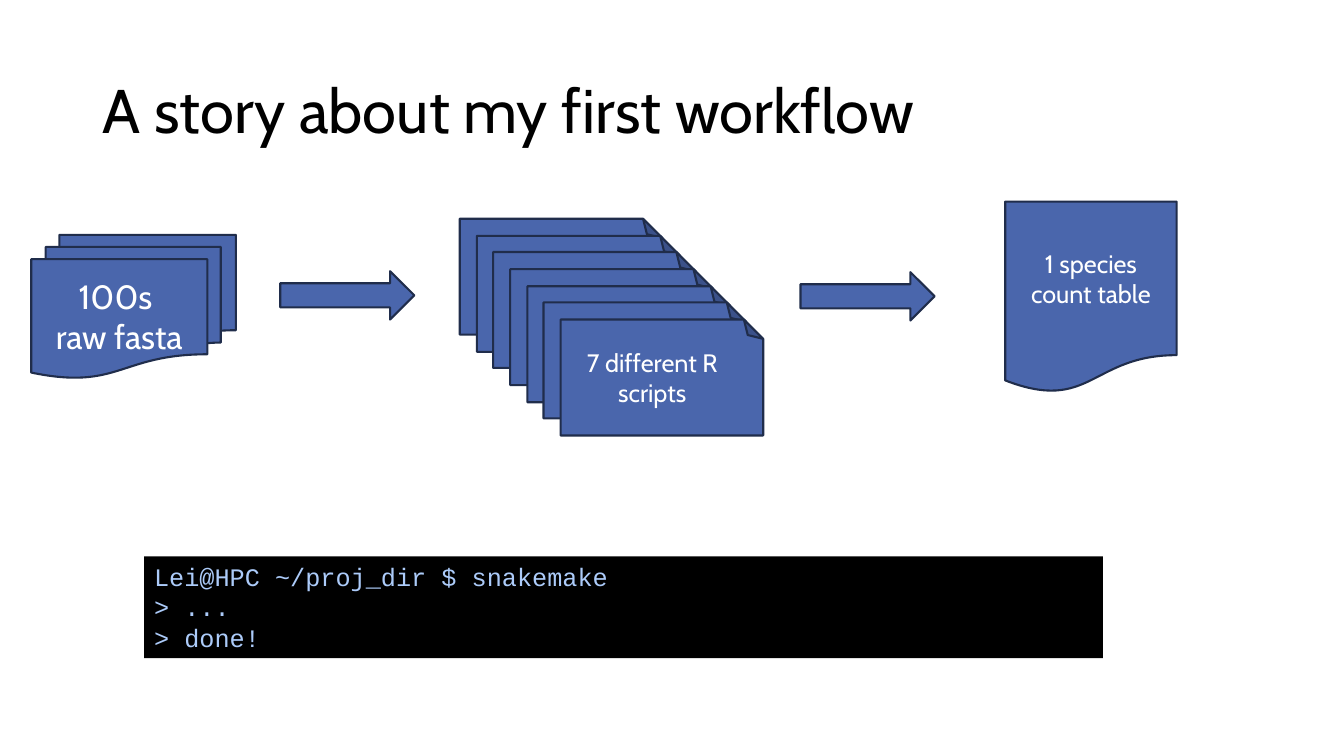
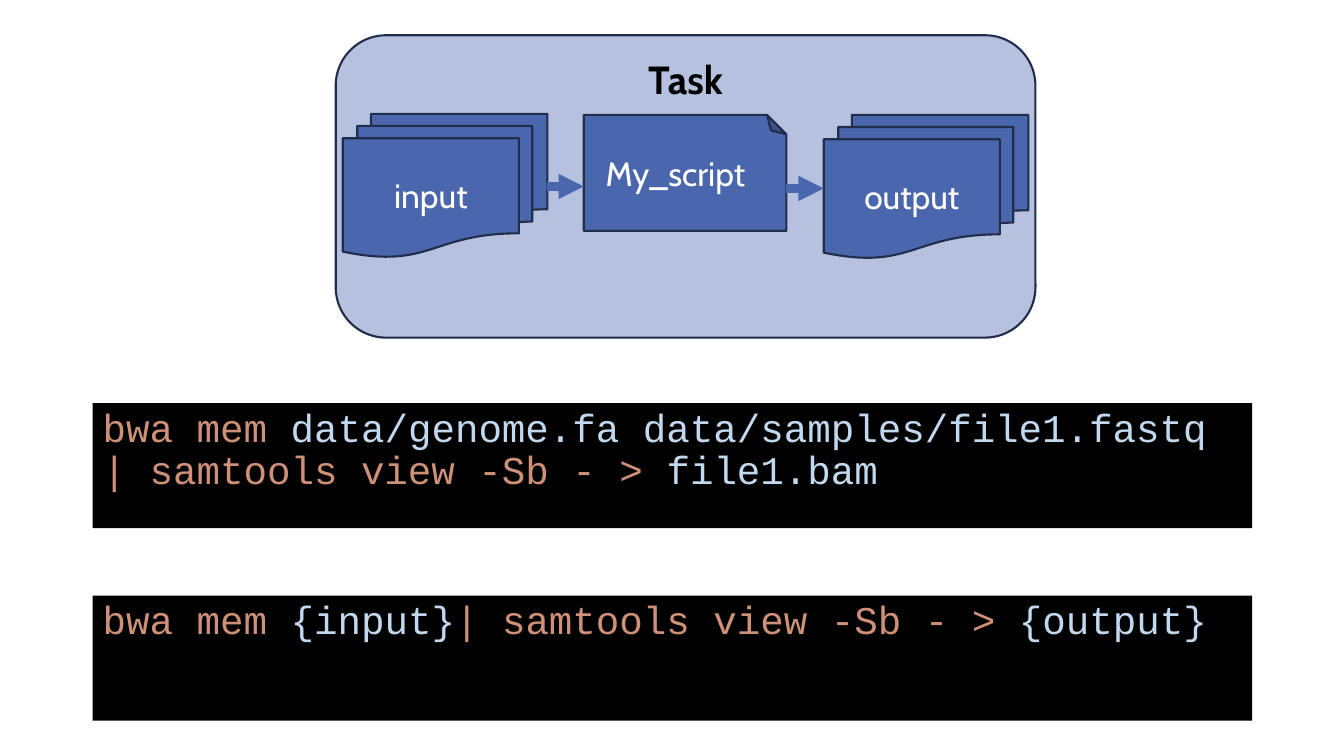
"""Builds two slides that explain a first workflow and its tasks."""
from dataclasses import dataclass

from lxml.etree import SubElement
from pptx import Presentation
from pptx.dml.color import RGBColor
from pptx.enum.shapes import MSO_CONNECTOR, MSO_SHAPE
from pptx.enum.text import MSO_ANCHOR, PP_ALIGN
from pptx.oxml.ns import qn
from pptx.util import Emu, Pt

PX = 9144


@dataclass(frozen=True)
class Theme:
    sans: str = "Cabin"
    mono: str = "Courier New"
    blue: str = "4A66AC"
    edge: str = "202D4B"
    panel: str = "B5C1DF"
    black: str = "000000"
    white: str = "FFFFFF"
    prompt: str = "ACCBF9"
    command: str = "CE9178"
    argument: str = "C1D8EE"
    title: int = 44
    code: int = 28
    label: int = 24
    small: int = 18
    outline: float = 1.5
    arrow: int = 6


T = Theme()
TITLE = "A story about my first workflow"
TITLE_BOX = (92, 40, 1150, 145)
FILES = (31, 233, ["100s ", "raw fasta"])
SCRIPTS = dict(count=7, left=456, top=217, shift=100, text="7 different R scripts")
BLOCK_ARROWS = [(278, 269), (794, 270)]
RESULT_BOX = (997, 200, 170, 190)
RESULT = "1 species count table"
TERMINAL_BOX = (143, 552, 951, 101)
TERMINAL = ["Lei@HPC ~/proj_dir $ snakemake", "> ...", "> done!"]

TASK_BOX = (333, 35, 694, 300)
TASK = "Task"
TASK_SCRIPT = (579, 114, "My_script")
TASK_FILES = [(340, 113, ["input"]), (817, 114, ["output"])]
TASK_ARROWS = [(543, 579, 185), (780, 817, 187)]
COMMANDS = [
    (400, "data/genome.fa data/samples/file1.fastq ", "file1.bam"),
    (591, "{input}", "{output}"),
]
FILES_SIZE = (203, 142)
SCRIPT_SIZE = (201, 115)
BLOCK_ARROW_SIZE = (133, 48)


def rgb(value):
    return RGBColor.from_string(value)


def write(sp, paragraphs, size=T.label, font=T.sans, color=T.white, bold=False,
          align=PP_ALIGN.CENTER, anchor=MSO_ANCHOR.MIDDLE, spacing=None, before=None):
    tf = sp.text_frame
    tf.word_wrap = True
    tf.vertical_anchor = anchor
    for i, runs in enumerate(paragraphs):
        p = tf.paragraphs[0] if i == 0 else tf.add_paragraph()
        p.alignment = align
        if spacing:
            p.line_spacing = spacing
        if before:
            p.space_before = Pt(before)
        for text, run_color in [(runs, color)] if isinstance(runs, str) else runs:
            r = p.add_run()
            r.text = text
            r.font.name = font
            r.font.size = Pt(size)
            r.font.bold = bold
            r.font.color.rgb = rgb(run_color)


def add_box(slide, kind, box, fill=T.blue, line=T.edge):
    sp = slide.shapes.add_shape(kind, *(Emu(v * PX) for v in box))
    sp.shadow.inherit = False
    sp.fill.solid()
    sp.fill.fore_color.rgb = rgb(fill)
    if line:
        sp.line.color.rgb = rgb(line)
        sp.line.width = Pt(T.outline)
    else:
        sp.line.fill.background()
    return sp


def add_files(slide, left, top, lines):
    sp = add_box(slide, MSO_SHAPE.FLOWCHART_MULTIDOCUMENT, (left, top, *FILES_SIZE))
    write(sp, lines)


def add_script(slide, left, top, text=None, size=T.label):
    w, h = SCRIPT_SIZE
    turn = (w - h) // 2
    sp = add_box(slide, MSO_SHAPE.FOLDED_CORNER, (left + turn, top - turn, h, w))
    sp.rotation = 270
    if text:
        write(sp, [text], size=size)
        sp.text_frame._txBody.bodyPr.set("vert", "vert")


def add_code(slide, box, paragraphs, **kwargs):
    sp = add_box(slide, MSO_SHAPE.RECTANGLE, box, fill=T.black, line=None)
    write(sp, paragraphs, font=T.mono, align=PP_ALIGN.LEFT, anchor=MSO_ANCHOR.TOP, **kwargs)


def add_arrow(slide, x1, x2, y):
    sp = slide.shapes.add_connector(
        MSO_CONNECTOR.STRAIGHT, *(Emu(v * PX) for v in (x1, y, x2, y)))
    sp.line.color.rgb = rgb(T.blue)
    sp.line.width = Pt(T.arrow)
    SubElement(sp.line._get_or_add_ln(), qn("a:tailEnd"), type="triangle")
    SubElement(sp._element.spPr, qn("a:effectLst"))


def build_story(slide):
    sp = slide.shapes.add_textbox(*(Emu(v * PX) for v in TITLE_BOX))
    write(sp, [TITLE], size=T.title, color=T.black, align=PP_ALIGN.LEFT, spacing=0.9)
    add_files(slide, *FILES)
    last = SCRIPTS["count"] - 1
    for i in range(last + 1):
        shift = round(i * SCRIPTS["shift"] / last)
        add_script(slide, SCRIPTS["left"] + shift, SCRIPTS["top"] + shift,
                   SCRIPTS["text"] if i == last else None, T.small)
    for left, top in BLOCK_ARROWS:
        add_box(slide, MSO_SHAPE.RIGHT_ARROW, (left, top, *BLOCK_ARROW_SIZE))
    add_code(slide, TERMINAL_BOX, TERMINAL, size=T.small, color=T.prompt)
    sp = add_box(slide, MSO_SHAPE.FLOWCHART_DOCUMENT, RESULT_BOX)
    write(sp, [RESULT], size=T.small)


def build_task(slide):
    sp = add_box(slide, MSO_SHAPE.ROUNDED_RECTANGLE, TASK_BOX, fill=T.panel)
    write(sp, [TASK], size=T.code, color=T.black, bold=True, anchor=MSO_ANCHOR.TOP)
    add_script(slide, *TASK_SCRIPT)
    for files in TASK_FILES:
        add_files(slide, *files)
    for arrow in TASK_ARROWS:
        add_arrow(slide, *arrow)
    for top, source, target in COMMANDS:
        runs = [("bwa mem ", T.command), (source, T.argument),
                ("| samtools view -Sb - > ", T.command), (target, T.argument)]
        add_code(slide, (92, top, 1150, 124), [runs], size=T.code, spacing=0.9, before=10)


def main():
    prs = Presentation()
    prs.slide_width, prs.slide_height = Emu(1333 * PX), Emu(750 * PX)
    for build in (build_story, build_task):
        build(prs.slides.add_slide(prs.slide_layouts[6]))
    prs.save("out.pptx")


if __name__ == "__main__":
    main()
